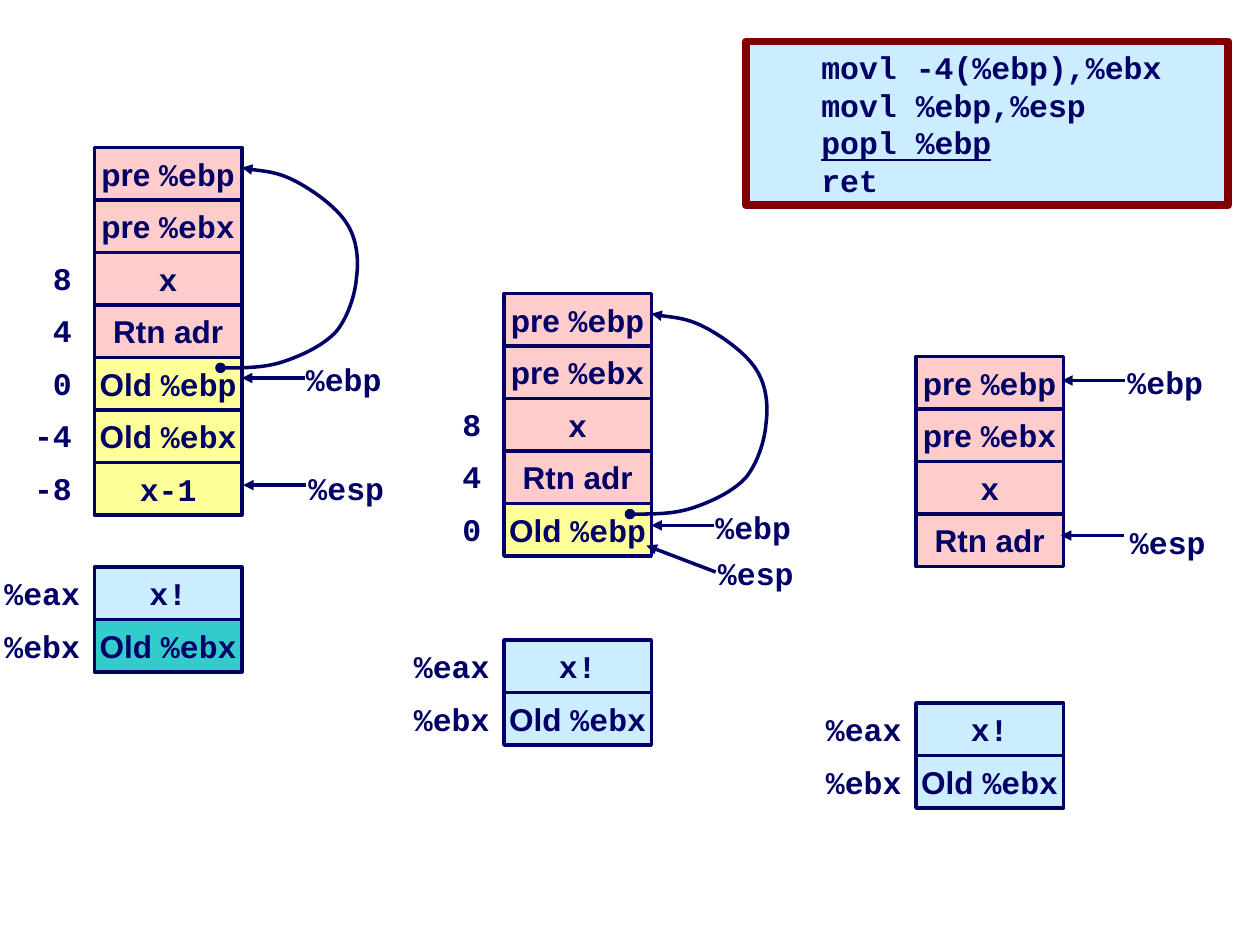
from pptx import Presentation
from pptx.dml.color import RGBColor
from pptx.enum.shapes import MSO_CONNECTOR, MSO_SHAPE
from pptx.enum.text import MSO_ANCHOR, PP_ALIGN
from pptx.oxml.ns import qn
from pptx.util import Inches, Pt
from lxml.etree import SubElement

COLORS = {"ink": "000066", "caller": "FFCCCC", "callee": "FFFF99", "register": "CCECFF",
          "restored": "33CCCC", "paper": "FFFFFF", "border": "800000"}
SANS, MONO = "Arial", "Courier New"
ROW, CELL_WIDTH, LABEL_WIDTH = 5 / 12, 1.17, 0.67

# Cell content: (sans part, mono part)
PRE_EBP, PRE_EBX = ("pre ", "%ebp"), ("pre ", "%ebx")
OLD_EBP, OLD_EBX = ("Old ", "%ebp"), ("Old ", "%ebx")
ARGUMENT, RETURN_ADDRESS = ("", "x"), ("Rtn adr", "")
CALLER_CELLS = [PRE_EBP, PRE_EBX, ARGUMENT, RETURN_ADDRESS]

# Pointers: (label, label left and top, arrow start, arrow end)
FRAMES = [
    {"left": 0.75, "top": 1.17, "callee": [OLD_EBP, OLD_EBX, ("", "x-1")],
     "offsets": ["8", "4", "0", "-4", "-8"], "registers_top": 4.5, "ebx": "restored",
     "saved_link": True, "grouped": False,
     "pointers": [("%ebp", (2.33, 2.81), (2.42, 3), (1.92, 3)),
                  ("%esp", (2.35, 3.67), (2.43, 3.85), (1.93, 3.85))]},
    {"left": 4, "top": 2.33, "callee": [OLD_EBP],
     "offsets": ["8", "4", "0"], "registers_top": 5.08, "ebx": "register",
     "saved_link": True, "grouped": True,
     "pointers": [("%ebp", (5.58, 3.98), (5.67, 4.17), (5.17, 4.17)),
                  ("%esp", (5.6, 4.35), (5.68, 4.54), (5.13, 4.33))]},
    {"left": 7.27, "top": 2.83, "callee": [],
     "offsets": [], "registers_top": 5.58, "ebx": "register",
     "saved_link": False, "grouped": True,
     "pointers": [("%ebp", (8.85, 2.83), (8.93, 3.02), (8.43, 3.02)),
                  ("%esp", (8.87, 4.1), (8.92, 4.25), (8.42, 4.25))]},
]
FIRST_OFFSET_ROW = 2

# Bezier points of the saved %ebp link, from the top left of its frame
LINK = [(1, 1.75), (1.17, 1.75), (1.35, 1.75), (1.5, 1.7),
        (1.65, 1.65), (1.82, 1.57), (1.92, 1.46), (2.01, 1.35), (2.07, 1.17), (2.08, 1.03),
        (2.1, 0.88), (2.08, 0.72), (2, 0.6), (1.92, 0.47), (1.72, 0.33), (1.58, 0.26),
        (1.44, 0.19), (1.24, 0.18), (1.17, 0.16)]

CODE = ["movl -4(%ebp),%ebx", "movl %ebp,%esp", "popl %ebp", "ret"]
CURRENT_LINE = "popl %ebp"


def color(name):
    return RGBColor.from_string(COLORS[name])


def format_run(run, font_name=MONO):
    run.font.name = font_name
    run.font.size = Pt(18)
    run.font.bold = True
    run.font.color.rgb = color("ink")


def add_box(shapes, left, top, width, height, fill, line=None, line_width=2):
    box = shapes.add_shape(MSO_SHAPE.RECTANGLE, Inches(left), Inches(top),
                           Inches(width), Inches(height))
    box.shadow.inherit = False
    box.fill.solid()
    box.fill.fore_color.rgb = color(fill)
    if line:
        box.line.color.rgb = color(line)
        box.line.width = Pt(line_width)
    else:
        box.line.fill.background()
    return box


def add_cell(shapes, left, top, width, content, fill, line="ink"):
    text_frame = add_box(shapes, left, top, width, ROW, fill, line).text_frame
    text_frame.word_wrap = False
    text_frame.vertical_anchor = MSO_ANCHOR.MIDDLE
    paragraph = text_frame.paragraphs[0]
    paragraph.alignment = PP_ALIGN.CENTER
    for text, font_name in zip(content, (SANS, MONO)):
        if text:
            run = paragraph.add_run()
            run.text = text
            format_run(run, font_name)


def add_label(shapes, text, left, top, width):
    box = shapes.add_textbox(Inches(left), Inches(top), Inches(width), Inches(0.4))
    box.text_frame.word_wrap = False
    box.text_frame.text = text
    format_run(box.text_frame.paragraphs[0].runs[0])
    return box.text_frame


def style_arrow(shape, head=None):
    shape.line.color.rgb = color("ink")
    shape.line.width = Pt(2)
    line = shape.line._get_or_add_ln()
    if head:
        SubElement(line, qn("a:headEnd"), type=head)
    SubElement(line, qn("a:tailEnd"), type="triangle")


def add_arrow(shapes, start, end):
    arrow = shapes.add_connector(MSO_CONNECTOR.STRAIGHT, *map(Inches, start + end))
    style_arrow(arrow)
    SubElement(arrow._element.spPr, qn("a:effectLst"))


def add_saved_link(shapes, left, top):
    points = [(Inches(left + x), Inches(top + y)) for x, y in LINK]
    builder = shapes.build_freeform(*points[0])
    builder.add_line_segments(points[1:], close=False)
    link = builder.convert_to_shape()
    link.shadow.inherit = False
    link.fill.background()
    style_arrow(link, head="oval")
    # Each three straight segments become one Bezier curve
    outline = next(link._element.iter(qn("a:path")))
    segments = outline.findall(qn("a:lnTo"))
    for index in range(0, len(segments), 3):
        curve = SubElement(outline, qn("a:cubicBezTo"))
        for segment in segments[index:index + 3]:
            curve.append(segment[0])
            outline.remove(segment)


def add_frame(shapes, frame):
    left, top = frame["left"], frame["top"]

    # Stack cells and their offsets
    cells = [(content, "caller") for content in CALLER_CELLS]
    cells += [(content, "callee") for content in frame["callee"]]
    for row, (content, fill) in enumerate(cells):
        add_cell(shapes, left, top + row * ROW, CELL_WIDTH, content, fill)
    for row, offset in enumerate(frame["offsets"], FIRST_OFFSET_ROW):
        text_frame = add_label(shapes, offset, left - 0.58, top + row * ROW, 0.65)
        text_frame.margin_right = Inches(0.25)
        text_frame.paragraphs[0].alignment = PP_ALIGN.RIGHT

    # Registers
    registers = [("%eax", ("", "x!"), "register"), ("%ebx", OLD_EBX, frame["ebx"])]
    for row, (name, content, fill) in enumerate(registers):
        y = frame["registers_top"] + row * ROW
        add_cell(shapes, left - 0.75, y, LABEL_WIDTH, ("", name), "paper", None)
        add_cell(shapes, left, y, CELL_WIDTH, content, fill)

    # Pointers into the stack
    for label, position, start, end in frame["pointers"]:
        add_arrow(shapes, start, end)
        add_label(shapes, label, *position, 0.8)
    if frame["saved_link"]:
        add_saved_link(shapes, left, top)


def add_code(shapes):
    text_frame = add_box(shapes, 5.92, 0.33, 3.83, 1.3, "register", "border", 4.5).text_frame
    text_frame.word_wrap = True
    text_frame.vertical_anchor = MSO_ANCHOR.TOP
    text_frame.text = "\n".join(CODE)
    for paragraph in text_frame.paragraphs:
        paragraph.alignment = PP_ALIGN.LEFT
        paragraph._p.get_or_add_pPr().set("marL", str(Inches(0.5)))
        run = paragraph.runs[0]
        format_run(run)
        run.font.underline = run.text == CURRENT_LINE


def main():
    presentation = Presentation()
    presentation.slide_width, presentation.slide_height = Inches(10), Inches(7.5)
    slide = presentation.slides.add_slide(presentation.slide_layouts[6])
    for frame in FRAMES:
        shapes = slide.shapes.add_group_shape().shapes if frame["grouped"] else slide.shapes
        add_frame(shapes, frame)
    add_code(slide.shapes)
    presentation.save("out.pptx")


if __name__ == "__main__":
    main()
